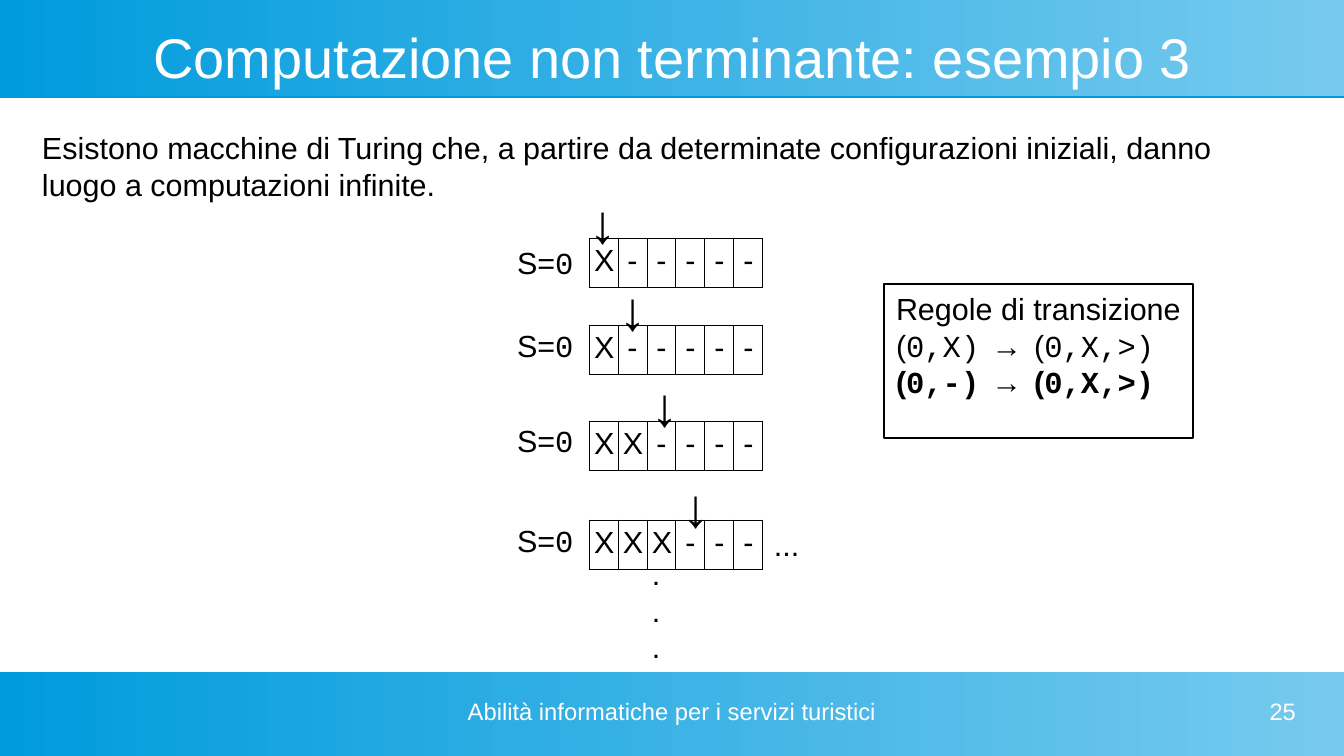
from lxml import etree
from pptx import Presentation
from pptx import util as u
from pptx.dml.color import RGBColor
from pptx.enum import shapes, text
from pptx.oxml import parse_xml
from pptx.oxml.ns import nsdecls, qn

PX = u.Inches(1) // 122
W, H = 1344, 756
COLORS = {"dark": "009BDD", "light": "77CAEE", "black": "000000", "white": "FFFFFF"}
SANS, MONO = "Arial", "Courier New"
CELL_W, CELL_H = 29, 49
TAPE_X = 589

# tape content, tape top, label top, arrow left, arrow top
STEPS = [
    ("X-----", 238, 238, 578, 183),
    ("X-----", 325, 321, 608, 270),
    ("XX----", 421, 416, 640, 366),
    ("XXX---", 520, 516, 671, 467),
]


def px(*lengths):
    return [n * PX for n in lengths]


def rgb(name):
    return RGBColor.from_string(COLORS[name])


def write(tf, paragraphs, size=18, color="black", align=text.PP_ALIGN.LEFT):
    """Fill a text frame; each paragraph is a list of (words, font, bold) runs."""
    for i, runs in enumerate(paragraphs):
        p = tf.paragraphs[0] if i == 0 else tf.add_paragraph()
        p.alignment = align
        for words, font, bold in runs:
            r = p.add_run()
            r.text = words
            r.font.name, r.font.size, r.font.bold = font, u.Pt(size), bold
            r.font.color.rgb = rgb(color)


def add_text(s, box, paragraphs, inset=(12, 6), anchor=text.MSO_ANCHOR.TOP, **style):
    tf = s.shapes.add_textbox(*px(*box)).text_frame
    tf.word_wrap = True
    tf.vertical_anchor = anchor
    tf.margin_left = tf.margin_right = inset[0] * PX
    tf.margin_top = tf.margin_bottom = inset[1] * PX
    write(tf, paragraphs, **style)


def add_rect(s, box):
    sp = s.shapes.add_shape(shapes.MSO_SHAPE.RECTANGLE, *px(*box))
    sp.shadow.inherit = False
    return sp


def add_band(s, top, height):
    """Full-width gradient band with a thin hard shadow below it."""
    sp = add_rect(s, (0, top, W, height))
    sp.line.fill.background()
    sp.fill.gradient()
    sp.fill.gradient_angle = 0
    for stop, position, name in zip(sp.fill.gradient_stops, (0, 1), ("dark", "light")):
        stop.position = position
        stop.color.rgb = rgb(name)
    effects = sp.element.spPr.find(qn("a:effectLst"))
    effects.append(parse_xml(
        f'<a:outerShdw {nsdecls("a")} dist="{u.Pt(0.9)}" dir="5400000">'
        f'<a:srgbClr val="{COLORS["dark"]}"/></a:outerShdw>'))


def add_borders(cell):
    tcPr = cell._tc.get_or_add_tcPr()
    for side in ("lnL", "lnR", "lnT", "lnB"):
        ln = etree.SubElement(tcPr, qn(f"a:{side}"), w=str(u.Pt(0.57)))
        fill = etree.SubElement(ln, qn("a:solidFill"))
        etree.SubElement(fill, qn("a:srgbClr"), val=COLORS["black"])


def add_tape(s, symbols, top):
    n = len(symbols)
    table = s.shapes.add_table(1, n, *px(TAPE_X, top, n * CELL_W, CELL_H)).table
    table.first_row = table.horz_banding = False
    for column, cell, symbol in zip(table.columns, table.rows[0].cells, symbols):
        column.width = CELL_W * PX
        cell.margin_left = cell.margin_right = 5 * PX
        cell.margin_top = cell.margin_bottom = 6 * PX
        add_borders(cell)
        cell.fill.background()
        write(cell.text_frame, [[(symbol, SANS, False)]], align=text.PP_ALIGN.CENTER)


def add_step(s, symbols, tape_top, label_top, arrow_left, arrow_top):
    add_tape(s, symbols, tape_top)
    add_text(s, (arrow_left, arrow_top, 61, 73), [[("↓", SANS, False)]], size=32)
    add_text(s, (505, label_top, 118, 49), [[("S=", SANS, False), ("0", MONO, False)]])


def rule(before, after, bold):
    return [("(", SANS, bold), (f"{before}) → ", MONO, bold),
            ("(", SANS, bold), (f"{after})", MONO, bold)]


def add_rules(s):
    sp = add_rect(s, (884, 284, 309, 154))
    sp.fill.background()
    sp.line.color.rgb = rgb("black")
    sp.line.width = u.Pt(1.42)
    tf = sp.text_frame
    tf.word_wrap = False
    tf.vertical_anchor = text.MSO_ANCHOR.TOP
    tf.margin_left = tf.margin_right = 12 * PX
    tf.margin_top = tf.margin_bottom = 6 * PX
    write(tf, [[("Regole di transizione", SANS, False)],
               rule("0,X", "0,X,>", False),
               rule("0,-", "0,X,>", True)])


def main():
    prs = Presentation()
    prs.slide_width, prs.slide_height = px(W, H)
    s = prs.slides.add_slide(prs.slide_layouts[6])

    add_band(s, 0, 96)
    add_band(s, 672, 84)
    add_text(s, (48, 24, 1249, 64), [[("Computazione non terminante: esempio 3", SANS, False)]],
             inset=(0, 0), anchor=text.MSO_ANCHOR.MIDDLE,
             size=33, color="white", align=text.PP_ALIGN.CENTER)
    add_text(s, (30, 123, 1220, 115), [[(
        "Esistono macchine di Turing che, a partire da determinate configurazioni iniziali, "
        "danno luogo a computazioni infinite.", SANS, False)]])

    for step in STEPS:
        add_step(s, *step)
    add_rules(s)
    add_text(s, (762, 520, 92, 46), [[("...", SANS, False)]])
    add_text(s, (640, 549, 183, 115), [[(".", SANS, False)]] * 3)

    footer = {"inset": (0, 0), "size": 14, "color": "white"}
    add_text(s, (456, 697, 432, 48),
             [[("Abilità informatiche per i servizi turistici", SANS, False)]],
             align=text.PP_ALIGN.CENTER, **footer)
    add_text(s, (984, 697, 312, 48), [[("25", SANS, False)]],
             align=text.PP_ALIGN.RIGHT, **footer)

    prs.save("out.pptx")


if __name__ == "__main__":
    main()
